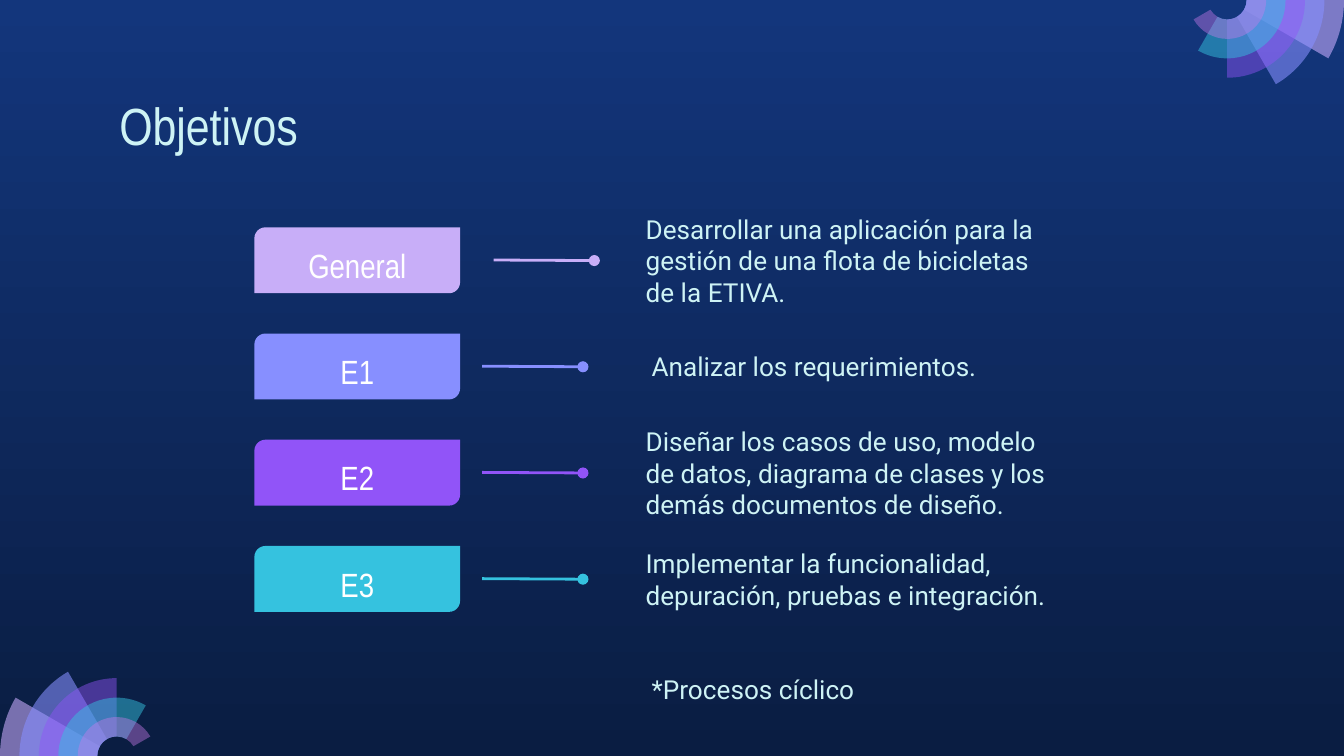
"""Build the slide of project objectives."""
from math import cos, radians, sin, tan

from lxml import etree
from pptx import Presentation
from pptx import util as u
from pptx.dml.color import RGBColor
from pptx.enum import shapes, text
from pptx.oxml.ns import qn

WIDTH, HEIGHT = 720, 405
BACKGROUND = ["13367C", "0A1D42"]
PALE, WHITE = "CEF3F5", "FFFFFF"
HEADING_FONT, BODY_FONT = "Arial Narrow", "Roboto"

TITLE = "Objetivos"
FOOTNOTE = "*Procesos cíclico"
GOALS = [
    {"label": "General", "color": "C8AEF8", "line_left": 264.4,
     "left": 324.3, "width": 259.2, "inset": 21.6,
     "text": "Desarrollar una aplicación para la gestión de una flota de bicicletas de la ETIVA."},
    {"label": "E1", "color": "878FFF", "line_left": 258.3,
     "left": 342, "width": 259.2, "inset": 7.2,
     "text": "Analizar los requerimientos."},
    {"label": "E2", "color": "9154F8", "line_left": 258.3,
     "left": 324.3, "width": 259.2, "inset": 21.6,
     "text": "Diseñar los casos de uso, modelo de datos, diagrama de clases y los demás documentos de diseño."},
    {"label": "E3", "color": "35C2DF", "line_left": 258.3,
     "left": 324.3, "width": 269.3, "inset": 21.6,
     "text": "Implementar la funcionalidad, depuración, pruebas e integración."},
]
FAN_SECTORS = [("C8ACFD", 58), ("878FFF", 58), ("9154F8", 46), ("35C2DF", 49), ("CA7BEB", 42)]
FAN_RING = 10.42
FAN_RADIUS = 6 * FAN_RING
FANS = [(FAN_RADIUS, HEIGHT, 180), (WIDTH - FAN_RADIUS, 0, 0)]

ROW_TOP, ROW_PITCH = 121.8, 56.9
TAB_LEFT, TAB_WIDTH, TAB_HEIGHT = 136.3, 110.2, 35.3
LABEL_WIDTH, LABEL_HEIGHT = 92.2, 31
LINE_LENGTH, LINE_DROP = 54, 0.3
TEXT_HEIGHT = 46


def rgb(color):
    return RGBColor.from_string(color)


def points(*values):
    return [u.Pt(value) for value in values]


def apply(target, values):
    for name, value in values.items():
        setattr(target, name, value)


def paint(shape, color):
    shape.shadow.inherit = False
    shape.fill.solid()
    shape.fill.fore_color.rgb = rgb(color)
    shape.line.fill.background()


def add_text(page, content, place, size, font, color=PALE, inset=7.2, right=7.2,
             anchor=text.MSO_ANCHOR.TOP, align=text.PP_ALIGN.LEFT):
    box = page.shapes.add_textbox(*points(*place))
    apply(box.text_frame, {
        "word_wrap": True, "vertical_anchor": anchor,
        "margin_left": u.Pt(inset), "margin_right": u.Pt(right),
        "margin_top": u.Pt(7.2), "margin_bottom": u.Pt(7.2)})
    para = box.text_frame.paragraphs[0]
    para.alignment = align
    span = para.add_run()
    span.text = content
    apply(span.font, {"size": u.Pt(size), "name": font})
    span.font.color.rgb = rgb(color)


def arc_points(center, radius, stops):
    """Return the start, then two handles and an end for each curve."""
    def spot(angle, handle=0):
        turn = radians(angle)
        return points(center[0] + radius * (cos(turn) - handle * sin(turn)),
                      center[1] + radius * (sin(turn) + handle * cos(turn)))

    result = [spot(stops[0])]
    for first, last in zip(stops, stops[1:]):
        handle = 4 / 3 * tan(radians(last - first) / 4)
        result += [spot(first, handle), spot(last, -handle), spot(last)]
    return result


def bend(shape, starts):
    """Turn the three segments at each start into one curve."""
    segments = list(shape.element.iter(qn("a:lnTo")))
    for start in starts:
        trio = segments[start:start + 3]
        curve = etree.Element(qn("a:cubicBezTo"))
        trio[0].addprevious(curve)
        for segment in trio:
            curve.append(segment[0])
            segment.getparent().remove(segment)


def add_fan(page, center_x, center_y, start):
    for index, (color, opacity) in enumerate(FAN_SECTORS):
        end = start + 30 * (index + 1)
        stops = sorted({start, min(start + 90, end), end})
        outer = arc_points((center_x, center_y), FAN_RADIUS - index * FAN_RING, stops)
        inner = arc_points((center_x, center_y), FAN_RING, stops[::-1])
        builder = page.shapes.build_freeform(*outer[0])
        builder.add_line_segments(outer[1:] + inner, close=True)
        sector = builder.convert_to_shape()
        curves = range(0, len(outer) - 1, 3)
        bend(sector, [*curves, *(len(outer) + step for step in curves)])
        paint(sector, color)
        tint = sector.element.spPr.find(".//" + qn("a:srgbClr"))
        etree.SubElement(tint, qn("a:alpha"), val=str(opacity * 1000))


def add_pointer(page, left, middle, color):
    pointer = page.shapes.add_connector(
        shapes.MSO_CONNECTOR.STRAIGHT,
        *points(left, middle - LINE_DROP / 2, left + LINE_LENGTH, middle + LINE_DROP / 2))
    pointer.line.color.rgb = rgb(color)
    pointer.line.width = u.Pt(1.5)
    etree.SubElement(pointer.line._get_or_add_ln(), qn("a:tailEnd"), type="oval")
    etree.SubElement(pointer.element.spPr, qn("a:effectLst"))


def add_tab(page, top, color):
    tab = page.shapes.add_shape(shapes.MSO_SHAPE.ROUND_2_DIAG_RECTANGLE,
                                *points(TAB_LEFT, top, TAB_WIDTH, TAB_HEIGHT))
    tab.adjustments[0] = 0.167
    paint(tab, color)


def add_goal(page, index, goal):
    top = ROW_TOP + index * ROW_PITCH
    middle = top + TAB_HEIGHT / 2
    add_tab(page, top, goal["color"])
    label_left = TAB_LEFT + (TAB_WIDTH - LABEL_WIDTH) / 2
    add_text(page, goal["label"],
             (label_left, middle - LABEL_HEIGHT / 2, LABEL_WIDTH, LABEL_HEIGHT),
             18, HEADING_FONT, WHITE, align=text.PP_ALIGN.CENTER)
    add_pointer(page, goal["line_left"], middle, goal["color"])
    add_text(page, goal["text"],
             (goal["left"], middle - TEXT_HEIGHT / 2, goal["width"], TEXT_HEIGHT),
             14, BODY_FONT, inset=goal["inset"], right=21.6, anchor=text.MSO_ANCHOR.MIDDLE)


def main():
    deck = Presentation()
    apply(deck, {"slide_width": u.Pt(WIDTH), "slide_height": u.Pt(HEIGHT)})
    page = deck.slides.add_slide(deck.slide_layouts[6])
    fill = page.background.fill
    fill.gradient()
    fill.gradient_angle = 270
    for stop, color in zip(fill.gradient_stops, BACKGROUND):
        stop.color.rgb = rgb(color)
    for fan in FANS:
        add_fan(page, *fan)
    add_text(page, TITLE, (56.8, 42.9, 606.2, 45.4), 28, HEADING_FONT)
    for index, goal in enumerate(GOALS):
        add_goal(page, index, goal)
    add_text(page, FOOTNOTE, (342, 360, 162, 18), 14, BODY_FONT,
             right=21.6, anchor=text.MSO_ANCHOR.MIDDLE)
    deck.save("out.pptx")


if __name__ == "__main__":
    main()
